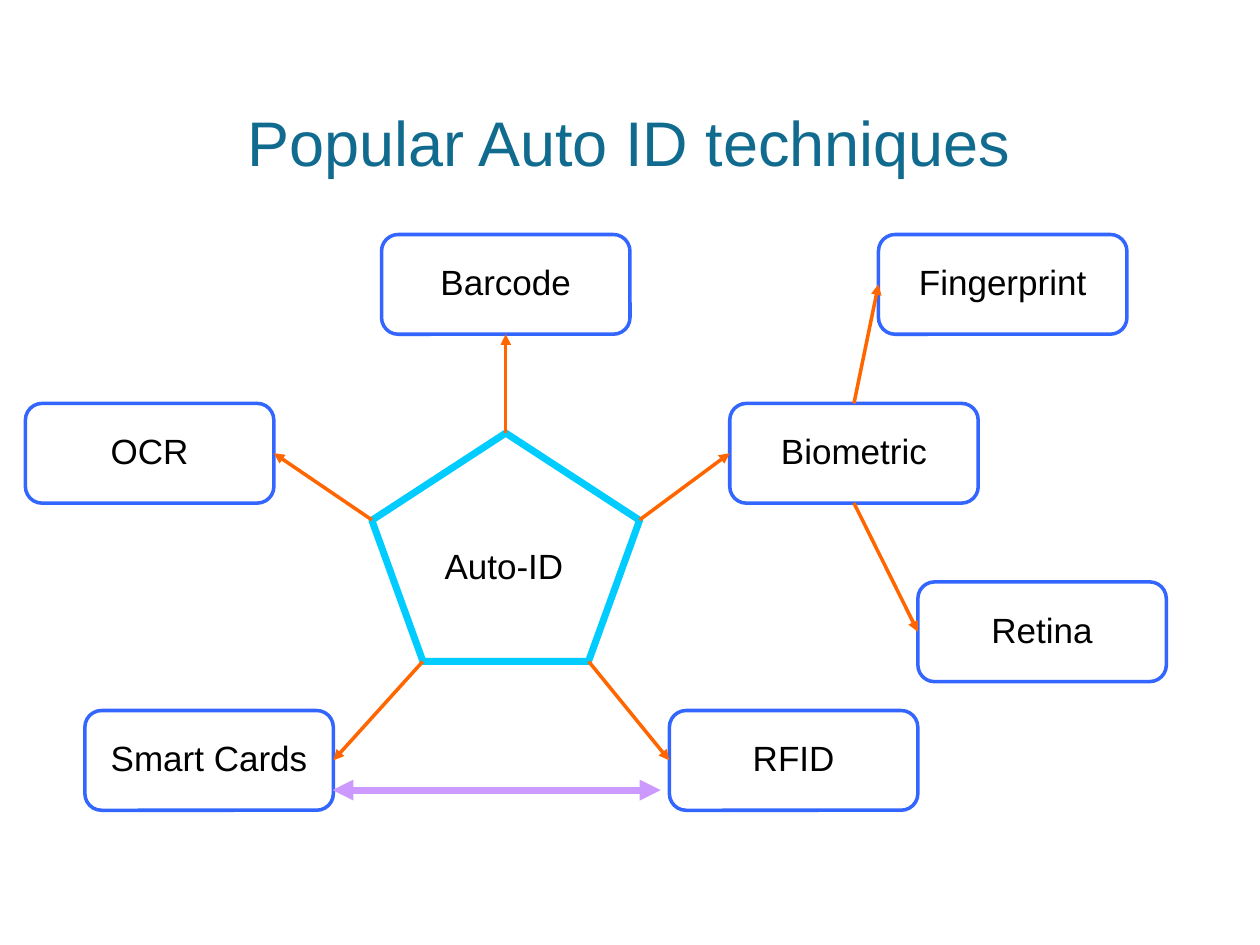
import pptx
import pptx.util
import pptx.dml.color
import pptx.enum.shapes
import pptx.enum.text
import pptx.oxml
import pptx.oxml.ns
from dataclasses import dataclass

Pt = pptx.util.Pt
Shapes = pptx.enum.shapes.MSO_SHAPE
Anchor = pptx.enum.text.MSO_ANCHOR


@dataclass(frozen=True)
class Theme:
    font: str = "Arial"
    title_size: float = 36
    label_size: float = 20
    title_color: str = "116B8F"
    label_color: str = "000000"
    hub_color: str = "00CCFF"
    box_color: str = "3366FF"
    arrow_color: str = "FF6600"
    link_color: str = "CC99FF"
    thin: float = 2
    thick: float = 4


THEME = Theme()
TITLE = "Popular Auto ID techniques"
TITLE_FRAME = (139.5, 58.5, 440, 44)
HUB = "Auto-ID"
HUB_FRAME = (212.5, 247.5, 153, 130.5)
BOX_SIZE = (142, 57)
TOP_ROW, MIDDLE_ROW, RETINA_ROW, BOTTOM_ROW = 134, 230.5, 332.5, 406
TECHNIQUES = {
    "Barcode": (218, TOP_ROW),
    "Fingerprint": (502, TOP_ROW),
    "OCR": (14.5, MIDDLE_ROW),
    "Biometric": (417, MIDDLE_ROW),
    "Retina": (524.5, RETINA_ROW),
    "Smart Cards": (48.5, BOTTOM_ROW),
    "RFID": (382.5, BOTTOM_ROW),
}
TOP, LEFT, BOTTOM, RIGHT = range(4)
HUB_ARROWS = [
    ((0.5, 0), "Barcode", BOTTOM),
    ((1, 0.38), "Biometric", LEFT),
    ((0.81, 1), "RFID", LEFT),
    ((0.19, 1), "Smart Cards", RIGHT),
    ((0, 0.38), "OCR", RIGHT),
]
BIOMETRIC_ARROWS = [(TOP, "Fingerprint", LEFT), (BOTTOM, "Retina", LEFT)]
CARD_RFID_LINK = (190, 451.5, 377.5, 451.5)


def rgb(color):
    return pptx.dml.color.RGBColor.from_string(color)


def write(frame, text, size, color, anchor, right=0, bottom=0):
    frame.word_wrap = True
    frame.auto_size = pptx.enum.text.MSO_AUTO_SIZE.NONE
    frame.vertical_anchor = anchor
    frame.margin_left = frame.margin_top = 0
    frame.margin_right, frame.margin_bottom = Pt(right), Pt(bottom)
    paragraph = frame.paragraphs[0]
    paragraph.alignment = pptx.enum.text.PP_ALIGN.CENTER
    run = paragraph.add_run()
    run.text = text
    run.font.name, run.font.size = THEME.font, Pt(size)
    run.font.color.rgb = rgb(color)


def add_node(slide, preset, frame, label, color, width, right, bottom):
    node = slide.shapes.add_shape(preset, *map(Pt, frame))
    node.shadow.inherit = False
    node.fill.background()
    node.line.color.rgb, node.line.width = rgb(color), Pt(width)
    write(node.text_frame, label, THEME.label_size, THEME.label_color,
          Anchor.MIDDLE, right, bottom)
    return node


def add_arrow(slide, ends, color, width, heads):
    arrow = slide.shapes.add_connector(
        pptx.enum.shapes.MSO_CONNECTOR.STRAIGHT, *map(Pt, ends))
    arrow.line.color.rgb, arrow.line.width = rgb(color), Pt(width)
    line = arrow.line._get_or_add_ln()
    for head in heads:
        pptx.oxml.ns.qn("a:" + head)
        line.append(pptx.oxml.parse_xml(
            f'<a:{head} {pptx.oxml.ns.nsdecls("a")} type="triangle"/>'))
    arrow._element.spPr.append(pptx.oxml.parse_xml(
        f'<a:effectLst {pptx.oxml.ns.nsdecls("a")}/>'))
    return arrow


def main():
    deck = pptx.Presentation()
    deck.slide_width, deck.slide_height = Pt(720), Pt(540)
    slide = deck.slides.add_slide(deck.slide_layouts[5])

    title = slide.shapes.title
    title.left, title.top, title.width, title.height = map(Pt, TITLE_FRAME)
    write(title.text_frame, TITLE, THEME.title_size, THEME.title_color, Anchor.BOTTOM)

    add_node(slide, Shapes.REGULAR_PENTAGON, HUB_FRAME, HUB,
             THEME.hub_color, THEME.thick, right=2, bottom=10)
    boxes = {
        label: add_node(slide, Shapes.ROUNDED_RECTANGLE, corner + BOX_SIZE, label,
                        THEME.box_color, THEME.thin, right=0, bottom=3)
        for label, corner in TECHNIQUES.items()
    }

    hub_left, hub_top, hub_width, hub_height = HUB_FRAME
    for (across, down), technique, side in HUB_ARROWS:
        vertex = (hub_left + across * hub_width, hub_top + down * hub_height)
        arrow = add_arrow(slide, vertex * 2, THEME.arrow_color, THEME.thin, ["tailEnd"])
        arrow.end_connect(boxes[technique], side)
    for start_side, technique, side in BIOMETRIC_ARROWS:
        arrow = add_arrow(slide, (0, 0, 0, 0), THEME.arrow_color, THEME.thin, ["tailEnd"])
        arrow.begin_connect(boxes["Biometric"], start_side)
        arrow.end_connect(boxes[technique], side)
    add_arrow(slide, CARD_RFID_LINK, THEME.link_color, THEME.thick, ["headEnd", "tailEnd"])

    deck.save("out.pptx")


if __name__ == "__main__":
    main()
